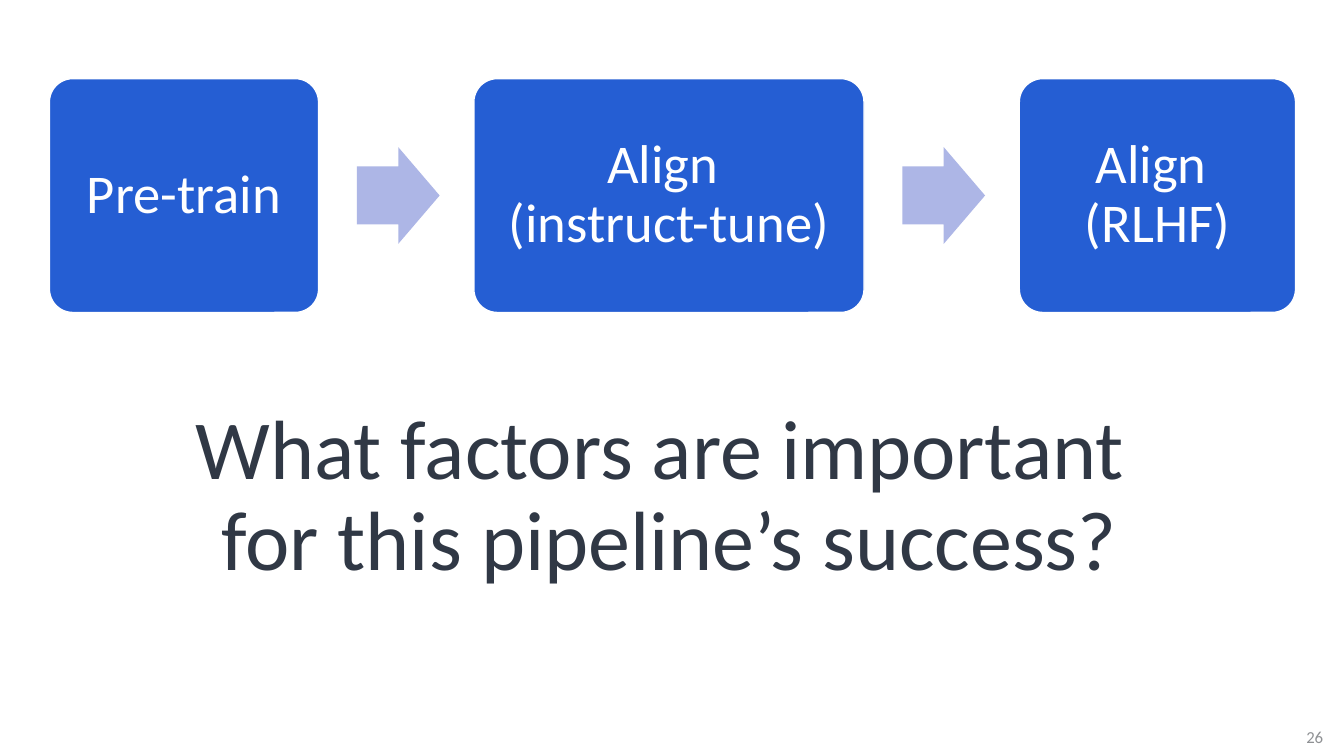
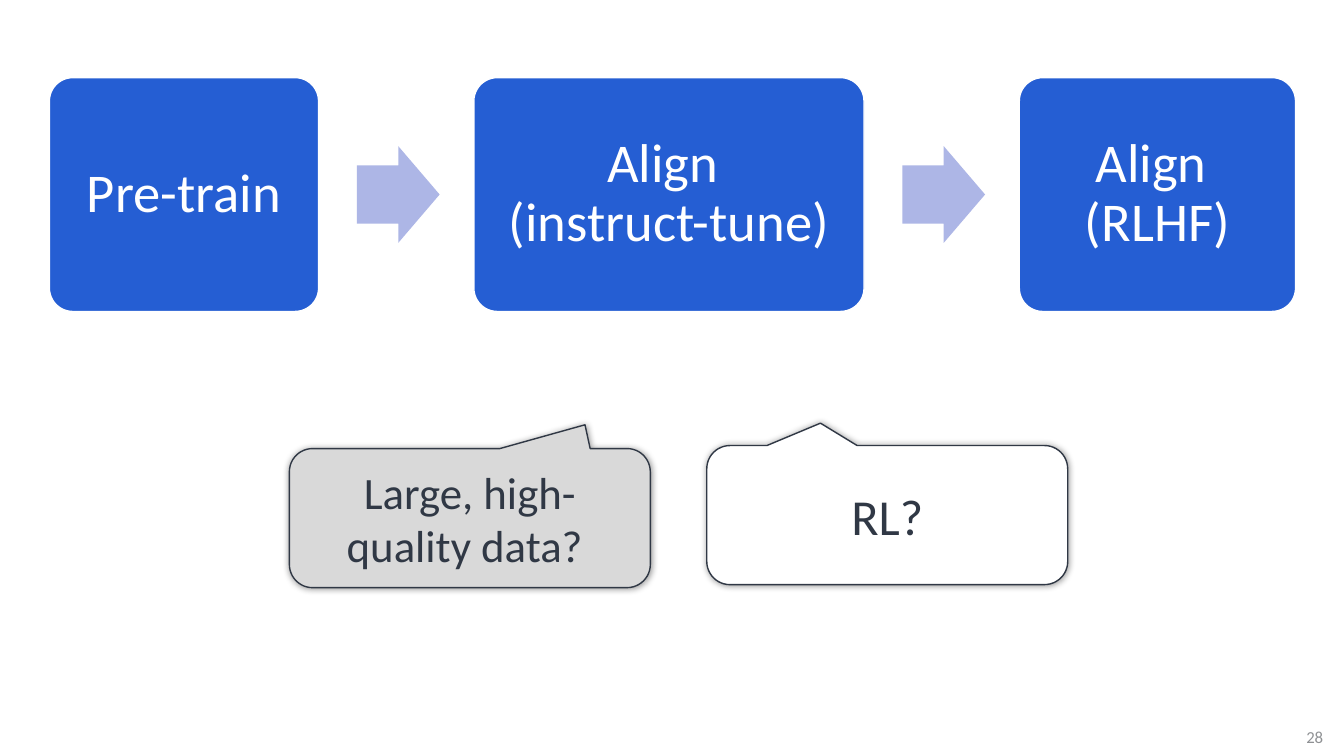
"""Build two slides about a model training pipeline."""
import lxml.etree
import pptx
import pptx.dml.color
import pptx.enum.shapes
import pptx.enum.text
import pptx.oxml.ns
import pptx.util

Inches = pptx.util.Inches
SHAPES = pptx.enum.shapes.MSO_SHAPE

COLORS = {
    "box": "255ED3",
    "arrow": "ADB6E6",
    "ink": "303845",
    "white": "FFFFFF",
    "gray": "D9D9D9",
    "number": "8F9194",
    "shadow": "000000",
}
FONT = "Calibri"
STAGES = [
    ("Pre-train", 2.67),
    ("Align \n(instruct-tune)", 3.87),
    ("Align \n(RLHF)", 2.74),
]
STAGE_LEFT, STAGE_HEIGHT, STAGE_GAP = 0.49, 2.32, 1.54
ARROW_OFFSET, ARROW_WIDTH, ARROW_HEIGHT = 0.38, 0.82, 0.96


def rgb(name):
    """Return the named palette colour."""
    return pptx.dml.color.RGBColor.from_string(COLORS[name])


def write_text(shape, text, size, color="ink", line_spacing=None, inset=None):
    """Write centred text into a shape."""
    frame = shape.text_frame
    frame.word_wrap = True
    frame.vertical_anchor = pptx.enum.text.MSO_ANCHOR.MIDDLE
    if inset is not None:
        frame.margin_left = frame.margin_right = Inches(inset)
        frame.margin_top = frame.margin_bottom = Inches(inset)
    paragraph = frame.paragraphs[0]
    paragraph.text = text
    paragraph.alignment = pptx.enum.text.PP_ALIGN.CENTER
    paragraph.line_spacing = line_spacing
    for run in paragraph.runs:
        run.font.name = FONT
        run.font.size = pptx.util.Pt(size)
        run.font.color.rgb = rgb(color)


def add_text(slide, left, top, width, height, text, size, **text_format):
    """Add a text box."""
    box = slide.shapes.add_textbox(
        Inches(left), Inches(top), Inches(width), Inches(height))
    write_text(box, text, size, **text_format)


def add_shape(slide, kind, left, top, width, height, adjustments, fill, line=None):
    """Add a filled preset shape with an optional outline."""
    shape = slide.shapes.add_shape(
        kind, Inches(left), Inches(top), Inches(width), Inches(height))
    for index, value in enumerate(adjustments):
        shape.adjustments[index] = value
    shape.shadow.inherit = False
    shape.fill.solid()
    shape.fill.fore_color.rgb = rgb(fill)
    if line:
        shape.line.color.rgb = rgb(line)
        shape.line.width = pptx.util.Pt(1)
    else:
        shape.line.fill.background()
    return shape


def add_glow_shadow(shape):
    """Give a shape a soft shadow on all sides."""
    qn = pptx.oxml.ns.qn
    effects = shape._element.spPr.find(qn("a:effectLst"))
    shadow = lxml.etree.SubElement(
        effects, qn("a:outerShdw"), blurRad=str(pptx.util.Pt(5)), dist="0",
        dir="0", algn="ctr", rotWithShape="0")
    color = lxml.etree.SubElement(shadow, qn("a:srgbClr"), val=COLORS["shadow"])
    lxml.etree.SubElement(color, qn("a:alpha"), val="40000")


def add_callout(slide, left, top, pointer, fill, text, size):
    """Add a rounded speech callout with its pointer tip."""
    callout = add_shape(
        slide, SHAPES.ROUNDED_RECTANGULAR_CALLOUT, left, top, 3.58, 1.38,
        (*pointer, 0.167), fill, line="ink")
    add_glow_shadow(callout)
    write_text(callout, text, size)


def add_pipeline(slide, top):
    """Add the stage boxes with an arrow between each pair."""
    left = STAGE_LEFT
    arrow_top = top + (STAGE_HEIGHT - ARROW_HEIGHT) / 2
    for index, (label, width) in enumerate(STAGES):
        if index:
            add_shape(
                slide, SHAPES.RIGHT_ARROW, left - STAGE_GAP + ARROW_OFFSET,
                arrow_top, ARROW_WIDTH, ARROW_HEIGHT, (0.6, 0.5), "arrow")
        stage = add_shape(
            slide, SHAPES.ROUNDED_RECTANGLE, left, top, width, STAGE_HEIGHT,
            (0.1,), "box", line="white")
        write_text(stage, label, 39, color="white", line_spacing=0.9, inset=0.16)
        left += width + STAGE_GAP


def add_pipeline_slide(presentation, number, pipeline_top):
    """Add a slide with its number and the pipeline."""
    slide = presentation.slides.add_slide(presentation.slide_layouts[6])
    add_text(slide, 12.75, 7.11, 0.58, 0.4, number, 12, color="number")
    add_pipeline(slide, pipeline_top)
    return slide


def main():
    """Build and save the presentation."""
    presentation = pptx.Presentation()
    presentation.slide_width = Inches(13.33)
    presentation.slide_height = Inches(7.5)

    question = add_pipeline_slide(presentation, "26", 0.78)
    add_text(
        question, -0.24, 3.51, 13.76, 2.86,
        "What factors are important \nfor this pipeline’s success?", 60,
        line_spacing=0.9)

    factors = add_pipeline_slide(presentation, "28", 0.77)
    add_callout(factors, 7.01, 4.42, (-0.185, -0.661), "white", "RL?", 36)
    add_callout(
        factors, 2.87, 4.45, (0.319, -0.671), "gray",
        "Large, high-quality data? ", 32)

    presentation.save("out.pptx")


if __name__ == "__main__":
    main()
